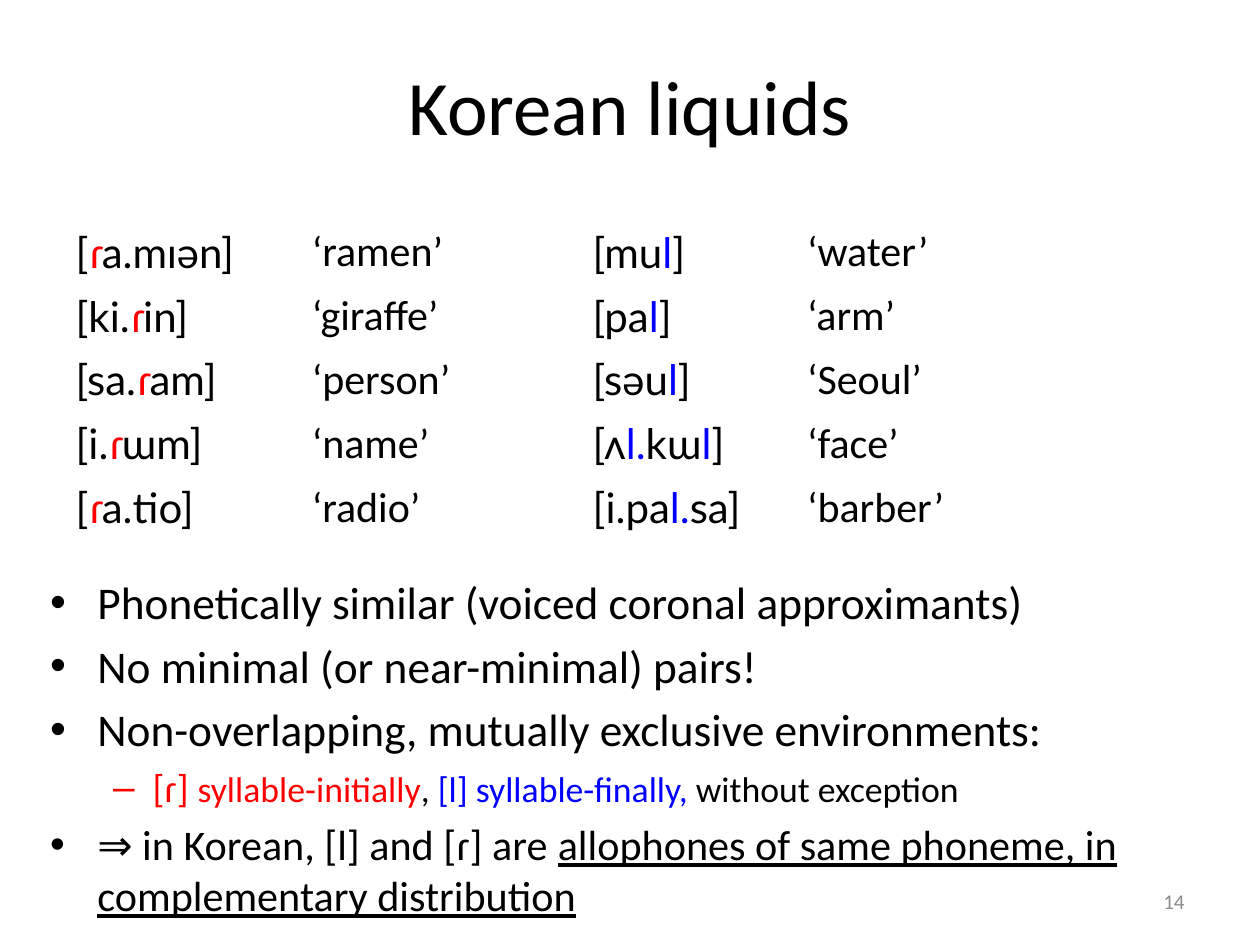
"""Build the Korean liquids slide: a word table above its phonemic analysis."""
from lxml import etree
from pptx import Presentation
from pptx.dml.color import RGBColor
from pptx.enum import text
from pptx.oxml import ns
from pptx.util import Pt

BLACK, RED, BLUE, GREY, WHITE = "000000", "FF0000", "0000FF", "8C8C8C", "FFFFFF"
TITLE = "Korean liquids"
PAGE = "14"
LIQUIDS = {"ɾ": RED, "l": BLUE, "l.": BLUE}
WORDS = [
    ("[|ɾ|a.mɪən]", "‘ramen’", "[mu|l|]", "‘water’"),
    ("[ki.|ɾ|in]", "‘giraffe’", "[pa|l|]", "‘arm’"),
    ("[sa.|ɾ|am]", "‘person’", "[səu|l|]", "‘Seoul’"),
    ("[i.|ɾ|ɯm]", "‘name’", "[ʌ|l.|kɯ|l|]", "‘face’"),
    ("[|ɾ|a.tio]", "‘radio’", "[i.pa|l.|sa]", "‘barber’"),
]
COLUMNS = [135, 160.5, 122.5, 230]
ROW = 36.5
LEVELS = [("•", 27, 27), ("–", 58.5, 22.5)]
POINTS = [
    (0, [("Phonetically similar (voiced coronal approximants)", 25.9, BLACK, False)]),
    (0, [("No minimal (or near-minimal) pairs!", 25.9, BLACK, False)]),
    (0, [("Non-overlapping, mutually exclusive environments:", 25.9, BLACK, False)]),
    (1, [("[ɾ] ", 22.2, RED, False),
         ("syllable-initially", 20.4, RED, False),
         (", ", 20.4, BLACK, False),
         ("[l] syllable-finally, ", 20.4, BLUE, False),
         ("without exception", 20.4, BLACK, False)]),
    (0, [("⇒ in Korean, [l] and [ɾ] are ", 24.1, BLACK, False),
         ("allophones of same phoneme, in complementary distribution", 24.1, BLACK, True)]),
]


def rgb(color):
    return RGBColor.from_string(color)


def add_run(paragraph, words, size, color=BLACK, underline=False, face="Calibri"):
    run = paragraph.add_run()
    run.text = words
    run.font.size, run.font.name = Pt(size), face
    run.font.color.rgb = rgb(color)
    if underline:
        run.font.underline = True


def add_frame(slide, left, top, width, height, anchor=text.MSO_ANCHOR.TOP):
    box = slide.shapes.add_textbox(Pt(left), Pt(top), Pt(width), Pt(height))
    frame = box.text_frame
    frame.word_wrap, frame.vertical_anchor = True, anchor
    return frame


def add_line(slide, place, words, size, color, align):
    paragraph = add_frame(slide, *place, text.MSO_ANCHOR.MIDDLE).paragraphs[0]
    paragraph.alignment = align
    add_run(paragraph, words, size, color)


def add_words(slide):
    table = slide.shapes.add_table(len(WORDS), len(COLUMNS), Pt(36), Pt(126),
                                   Pt(sum(COLUMNS)), Pt(ROW * len(WORDS))).table
    table.first_row = table.horz_banding = False
    for column, width in zip(table.columns, COLUMNS):
        column.width = Pt(width)
    for r, entries in enumerate(WORDS):
        for c, entry in enumerate(entries):
            cell = table.cell(r, c)
            cell.fill.solid()
            cell.fill.fore_color.rgb = rgb(WHITE)
            face = "Calibri" if c % 2 else "Lato"
            for part in entry.split("|"):
                add_run(cell.text_frame.paragraphs[0], part, 24,
                        LIQUIDS.get(part, BLACK), face=face)


def add_points(slide):
    frame = add_frame(slide, 21.6, 324.7, 684, 190.8)
    for i, (level, runs) in enumerate(POINTS):
        paragraph = frame.add_paragraph() if i else frame.paragraphs[0]
        paragraph.level = level
        paragraph.space_before = Pt(round(runs[0][1] * 0.2, 1))
        mark, indent, hang = LEVELS[level]
        props = paragraph._p.get_or_add_pPr()
        props.set("marL", str(Pt(indent)))
        props.set("indent", str(-Pt(hang)))
        etree.SubElement(props, ns.qn("a:buFont"), typeface="Arial")
        etree.SubElement(props, ns.qn("a:buChar"), char=mark)
        for run in runs:
            add_run(paragraph, *run)


def main():
    deck = Presentation()
    deck.slide_width, deck.slide_height = Pt(720), Pt(540)
    slide = deck.slides.add_slide(deck.slide_layouts[6])
    add_line(slide, (36, 21.6, 648, 76.3), TITLE, 44, BLACK, text.PP_ALIGN.CENTER)
    add_points(slide)
    add_words(slide)
    add_line(slide, (516, 500.5, 168, 28.8), PAGE, 12, GREY, text.PP_ALIGN.RIGHT)
    deck.save("out.pptx")


if __name__ == "__main__":
    main()
